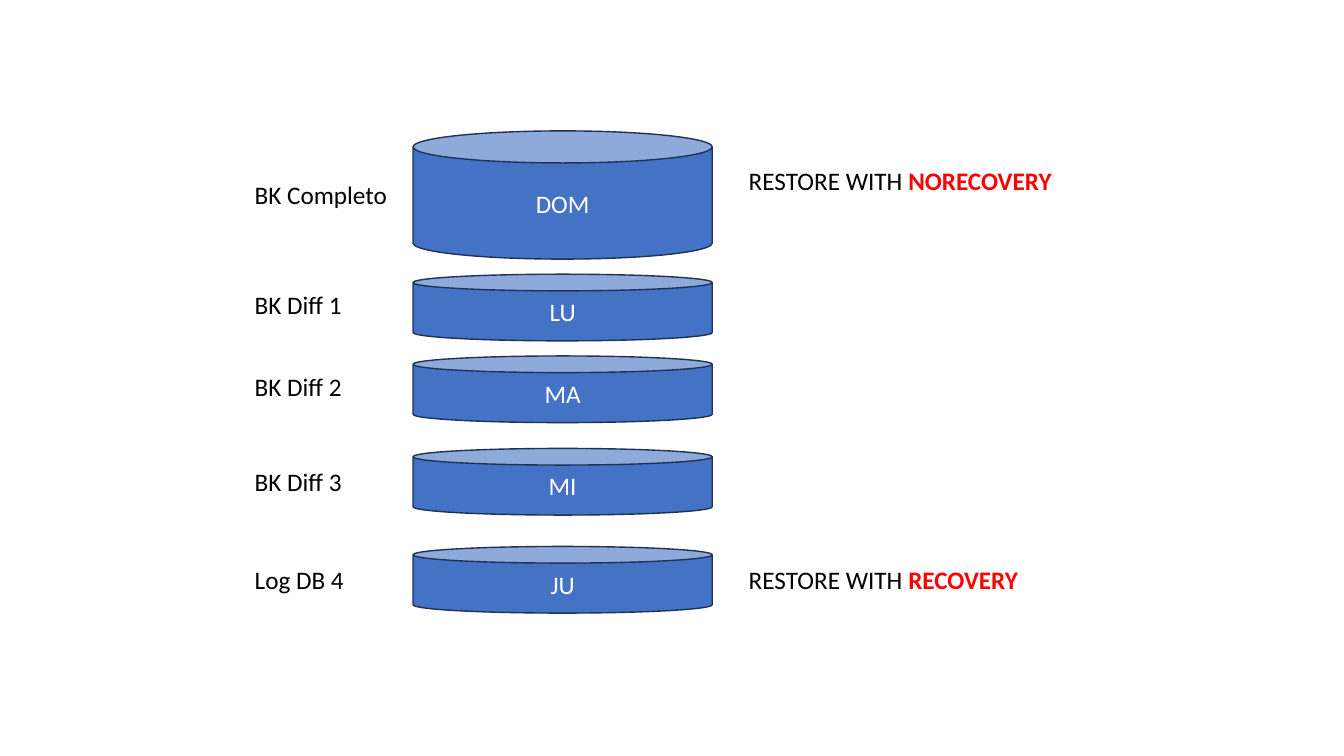
from pptx import Presentation
from pptx.dml.color import RGBColor
from pptx.enum.shapes import MSO_SHAPE
from pptx.enum.text import MSO_ANCHOR, MSO_AUTO_SIZE, PP_ALIGN
from pptx.util import Cm, Pt

FONT = "Calibri"
COLORS = {
    "can": "4472C4",
    "edge": "1E3256",
    "light": "FFFFFF",
    "text": "000000",
    "alert": "FF0000",
}

# Columns and heights in cm
LEFT, CAN_X, CAN_W = 6.17, 10.41, 7.54
NOTE_X, NOTE_W = 18.62, 9.4
TEXT_H = 1.02

# Day, top, height, label, label width, label drop, restore mode, mode drop
BACKUPS = [
    ("DOM", 3.3, 3.23, "BK Completo", 3.89, 1.09, "NORECOVERY", 0.74),
    ("LU", 6.91, 1.68, "BK Diff 1", 2.74, 0.25, None, 0),
    ("MA", 8.97, 1.68, "BK Diff 2", 2.74, 0.25, None, 0),
    ("MI", 11.3, 1.68, "BK Diff 3", 2.74, 0.33, None, 0),
    ("JU", 13.77, 1.68, "Log DB 4", 2.79, 0.33, "RECOVERY", 0.33),
]


def color(name):
    return RGBColor.from_string(COLORS[name])


def add_run(para, text, name, bold=False):
    run = para.add_run()
    run.text = text
    run.font.name = FONT
    run.font.size = Pt(18)
    run.font.bold = bold
    run.font.color.rgb = color(name)


def add_text(slide, box, runs, wrap):
    frame = slide.shapes.add_textbox(*map(Cm, box)).text_frame
    frame.word_wrap = wrap
    frame.auto_size = MSO_AUTO_SIZE.SHAPE_TO_FIT_TEXT
    for run in runs:
        add_run(frame.paragraphs[0], *run)


def add_can(slide, box, day):
    can = slide.shapes.add_shape(MSO_SHAPE.CAN, *map(Cm, box))
    can.shadow.inherit = False
    can.fill.solid()
    can.fill.fore_color.rgb = color("can")
    can.line.color.rgb = color("edge")
    can.line.width = Pt(1)
    frame = can.text_frame
    frame.vertical_anchor = MSO_ANCHOR.MIDDLE
    para = frame.paragraphs[0]
    para.alignment = PP_ALIGN.CENTER
    add_run(para, day, "light")


def add_backup(slide, backup):
    day, top, height, label, width, drop, mode, shift = backup
    # Cylinder with the day
    add_can(slide, (CAN_X, top, CAN_W, height), day)
    # Backup type on the left
    add_text(slide, (LEFT, top + drop, width, TEXT_H),
             [(label, "text")], wrap=False)
    # Restore mode on the right
    if mode:
        add_text(slide, (NOTE_X, top + shift, NOTE_W, TEXT_H),
                 [("RESTORE WITH ", "text"), (mode, "alert", True)],
                 wrap=True)


def main():
    deck = Presentation()
    deck.slide_width, deck.slide_height = Cm(33.87), Cm(19.05)
    slide = deck.slides.add_slide(deck.slide_layouts[6])
    for backup in BACKUPS:
        add_backup(slide, backup)
    deck.save("out.pptx")


if __name__ == "__main__":
    main()
